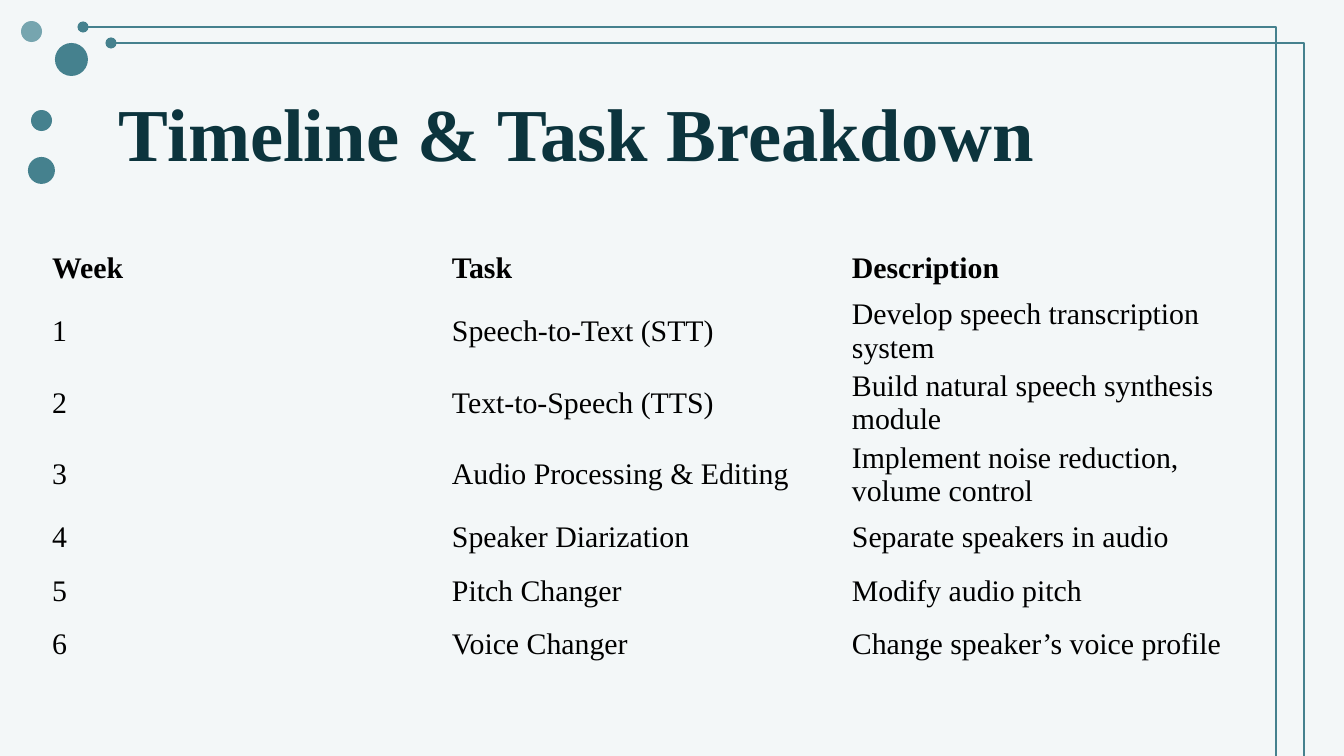
"""Build the timeline and task breakdown slide."""
from lxml import etree
from pptx import Presentation
from pptx.dml.color import RGBColor
from pptx.enum.shapes import MSO_CONNECTOR, MSO_SHAPE
from pptx.enum.text import MSO_ANCHOR
from pptx.oxml.ns import qn
from pptx.util import Emu, Pt

OVAL = MSO_SHAPE.OVAL
ELBOW = MSO_CONNECTOR.ELBOW
MIDDLE = MSO_ANCHOR.MIDDLE
TOP = MSO_ANCHOR.TOP

PAPER = RGBColor(0xF3, 0xF7, 0xF8)
TEAL = RGBColor(0x45, 0x81, 0x8E)
MIST = RGBColor(0x76, 0xA5, 0xAF)
INK = RGBColor(0x0C, 0x34, 0x3D)
BLACK = RGBColor(0, 0, 0)
PLAIN = "{2D5ABB26-0587-4C30-8999-92F81FD0307C}"

HEAD = {"name": "Times New Roman", "size": Pt(40), "bold": True}
BODY = {"name": "Times New Roman", "size": Pt(16), "bold": False}
LABEL = {**BODY, "bold": True}

DOTS = [(21, 21, 21, MIST), (28, 157, 27, TEAL), (31, 110, 21, TEAL), (55, 43, 33, TEAL)]
ROWS = [
    ("Week", "Task", "Description"),
    ("1", "Speech-to-Text (STT)", "Develop speech transcription system"),
    ("2", "Text-to-Speech (TTS)", "Build natural speech synthesis module"),
    ("3", "Audio Processing & Editing", "Implement noise reduction, volume control"),
    ("4", "Speaker Diarization", "Separate speakers in audio"),
    ("5", "Pitch Changer", "Modify audio pitch"),
    ("6", "Voice Changer", "Change speaker’s voice profile"),
]


def px(count):
    return Emu(round(count * 914400 / 134.4))


def write(frame, text, style, color):
    run = frame.paragraphs[0].add_run()
    run.text = text
    for key, value in style.items():
        setattr(run.font, key, value)
    run.font.color.rgb = color


deck = Presentation()
deck.slide_width, deck.slide_height = px(1344), px(756)
slide = deck.slides.add_slide(deck.slide_layouts[6])
slide.background.fill.solid()
slide.background.fill.fore_color.rgb = PAPER
shapes = slide.shapes

for left, top, size, color in DOTS:
    dot = shapes.add_shape(OVAL, px(left), px(top), px(size), px(size))
    dot.shadow.inherit = False
    dot.fill.solid()
    dot.fill.fore_color.rgb = color
    dot.line.fill.background()

for step in range(2):
    left, top = 83 + 28 * step, 27 + 16 * step
    wire = shapes.add_connector(ELBOW, px(left), px(top), px(left + 1261), px(top + 753))
    wire.line.color.rgb = TEAL
    wire.line.width = Pt(1.5)
    props = wire.line._get_or_add_ln().getparent()
    props.find(qn("a:xfrm")).set("rot", "10800000")
    guides = props.find(qn("a:prstGeom")).find(qn("a:avLst"))
    etree.SubElement(guides, qn("a:gd"), name="adj1", fmla="val 5400")
    etree.SubElement(props.find(qn("a:ln")), qn("a:tailEnd"), type="oval")
    etree.SubElement(props, qn("a:effectLst"))

title = shapes.add_textbox(px(106), px(66), px(1133), px(85)).text_frame
FRAME = {"word_wrap": True, "vertical_anchor": TOP, "margin_left": px(13),
         "margin_right": px(13), "margin_top": px(21), "margin_bottom": 0}
for key, value in FRAME.items():
    setattr(title, key, value)
write(title, "Timeline & Task Breakdown", HEAD, INK)

grid = shapes.add_table(len(ROWS), 3, px(52), px(242), px(1200), px(375)).table
grid.first_row = grid.horz_banding = False
grid._tbl.tblPr.find(qn("a:tableStyleId")).text = PLAIN
CELL = {"vertical_anchor": MIDDLE, "margin_left": 0, "margin_right": 0,
        "margin_top": 0, "margin_bottom": 0}
for row, texts in enumerate(ROWS):
    for col, text in enumerate(texts):
        cell = grid.cell(row, col)
        cell.fill.background()
        for key, value in CELL.items():
            setattr(cell, key, value)
        write(cell.text_frame, text, BODY if row else LABEL, BLACK)

deck.save("out.pptx")
